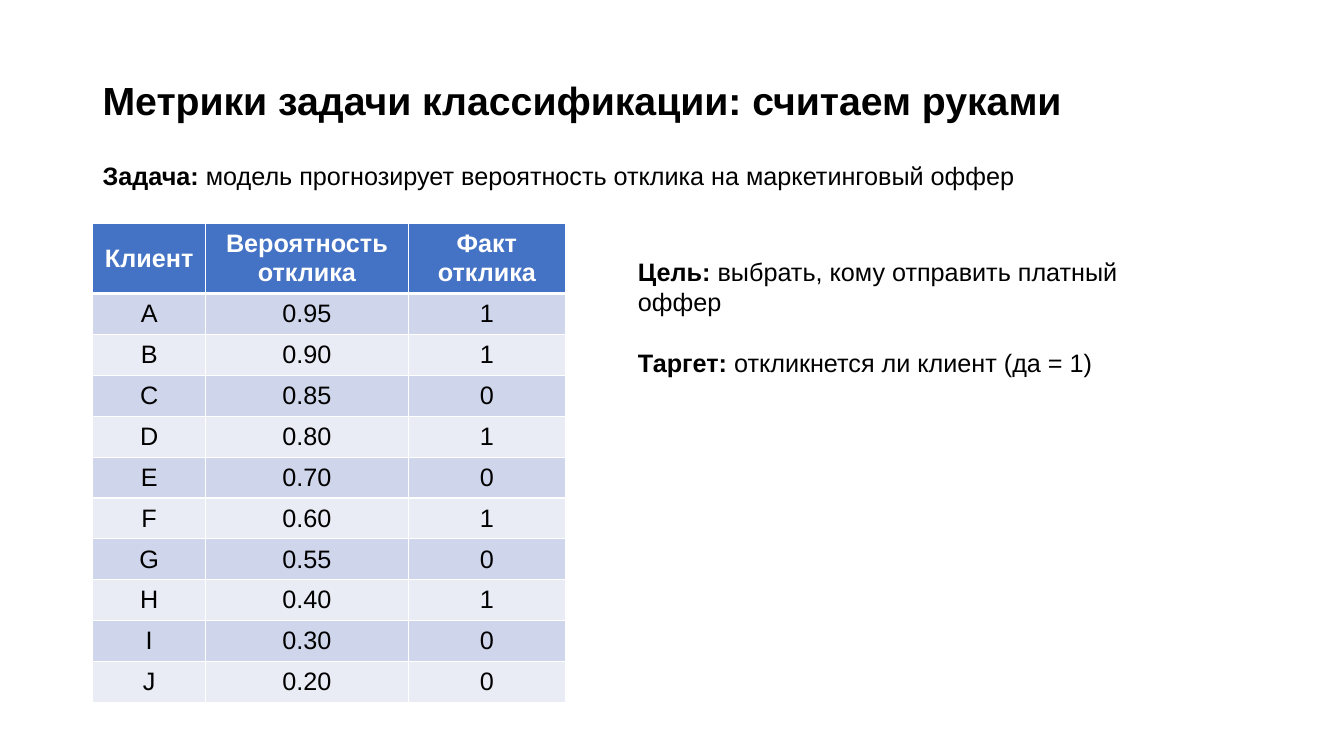
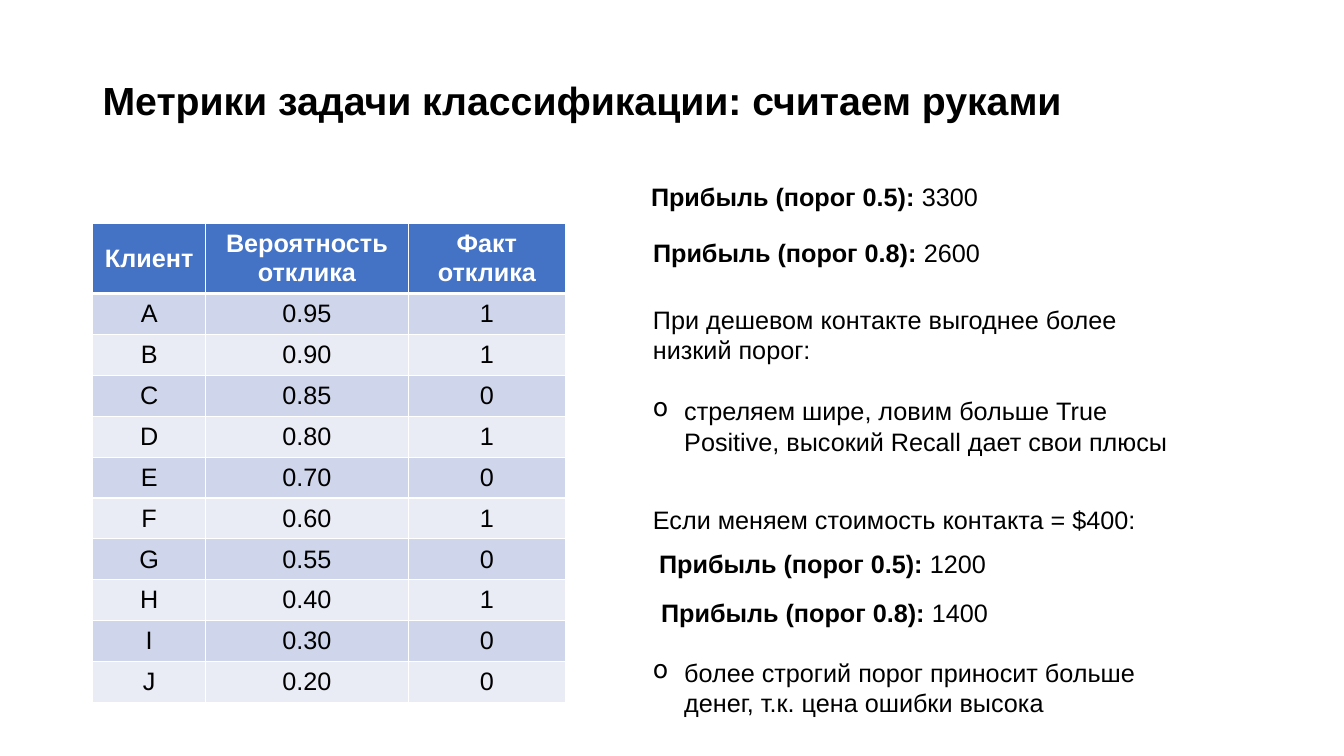
from dataclasses import dataclass

from lxml.etree import SubElement
from pptx import Presentation
from pptx.dml.color import RGBColor
from pptx.enum.text import MSO_ANCHOR as Anchor, PP_ALIGN as Align
from pptx.oxml import parse_xml
from pptx.oxml.ns import nsdecls, qn
from pptx.util import Emu, Inches, Pt

BLACK = RGBColor(0x00, 0x00, 0x00)
WHITE = RGBColor(0xFF, 0xFF, 0xFF)
HEADER_BLUE = RGBColor(0x44, 0x72, 0xC4)
BAND_DARK = RGBColor(0xCF, 0xD5, 0xEA)
BAND_LIGHT = RGBColor(0xE9, 0xEB, 0xF5)

FONT = "Arial"
TITLE_SIZE = 28
BODY_SIZE = 18
BLANK_LINE = 22
BULLET_INDENT = Inches(0.31)
WIDTH, HEIGHT = Inches(13.33), Inches(7.5)

TITLE = "Метрики задачи классификации: считаем руками"
HEADERS = ("Клиент", "Вероятность отклика", "Факт отклика")
CLIENTS = (
    ("A", "0.95", "1"),
    ("B", "0.90", "1"),
    ("C", "0.85", "0"),
    ("D", "0.80", "1"),
    ("E", "0.70", "0"),
    ("F", "0.60", "1"),
    ("G", "0.55", "0"),
    ("H", "0.40", "1"),
    ("I", "0.30", "0"),
    ("J", "0.20", "0"),
)

# Shares of the slide's width or height, in percent
LEFT_MARGIN = 6.9
TABLE_TOP = 29.5
COLUMN_SHARES = (8.4, 15.08, 11.7)
HEADER_SHARE = 8.67
ROW_SHARE = 5.41
LINE_SHARE = 5.33
PROFIT_SHARE = 27.3
NOTE_SHARE = 40.35


@dataclass(frozen=True)
class Area:
    """A rectangle in percent of the slide's width and height."""
    left: float
    top: float
    width: float
    height: float


@dataclass(frozen=True)
class Line:
    """A paragraph with an optional bold lead; gap counts the lines left free above."""
    text: str
    lead: str = ""
    gap: int = 0
    bullet: bool = False


@dataclass(frozen=True)
class Note:
    area: Area
    lines: tuple[Line, ...]


def across(share: float) -> Emu:
    return Emu(round(WIDTH * share / 100))


def down(share: float) -> Emu:
    return Emu(round(HEIGHT * share / 100))


def profit(left: float, top: float, threshold: str, amount: str) -> Note:
    line = Line(amount, lead=f"Прибыль (порог {threshold}): ")
    return Note(Area(left, top, PROFIT_SHARE, LINE_SHARE), (line,))


TASK_NOTES = (
    Note(Area(LEFT_MARGIN, 20.53, 70.13, LINE_SHARE), (
        Line("модель прогнозирует вероятность отклика на маркетинговый оффер",
             lead="Задача: "),
    )),
    Note(Area(46.73, 33.2, 41.4, 17.47), (
        Line("выбрать, кому отправить платный оффер", lead="Цель: "),
        Line("откликнется ли клиент (да = 1)", lead="Таргет: ", gap=1),
    )),
)

PROFIT_NOTES = (
    profit(47.7, 23.33, "0.5", "3300"),
    profit(47.85, 30.8, "0.8", "2600"),
    Note(Area(47.85, 39.6, NOTE_SHARE, 21.6), (
        Line("При дешевом контакте выгоднее более низкий порог:"),
        Line("стреляем шире, ловим больше True Positive, "
             "высокий Recall дает свои плюсы", gap=1, bullet=True),
    )),
    Note(Area(47.85, 66, NOTE_SHARE, 29.6), (
        Line("Если меняем стоимость контакта = $400:"),
        Line("более строгий порог приносит больше денег, "
             "т.к. цена ошибки высока", gap=4, bullet=True),
    )),
    profit(48.3, 71.87, "0.5", "1200"),
    profit(48.45, 78.4, "0.8", "1400"),
)


def add_span(para, text: str, *, size: float = BODY_SIZE, bold: bool = False,
             color: RGBColor = BLACK) -> None:
    span = para.add_run()
    span.text = text
    span.font.name = FONT
    span.font.size = Pt(size)
    span.font.bold = bold
    span.font.color.rgb = color


def add_box(page, area: Area, *, anchor: Anchor = Anchor.TOP):
    """Add a wrapping text box and return its text frame."""
    box = page.shapes.add_textbox(across(area.left), down(area.top),
                                  across(area.width), down(area.height))
    box.text_frame.word_wrap = True
    box.text_frame.vertical_anchor = anchor
    return box.text_frame


def set_bullet(para) -> None:
    properties = para._p.get_or_add_pPr()
    properties.set("marL", str(BULLET_INDENT))
    properties.set("indent", str(-BULLET_INDENT))
    SubElement(properties, qn("a:buChar")).set("char", "o")


def add_title(page) -> None:
    frame = add_box(page, Area(LEFT_MARGIN, 4, 86.25, 19.33), anchor=Anchor.MIDDLE)
    para = frame.paragraphs[0]
    para.line_spacing = 0.9
    add_span(para, TITLE, size=TITLE_SIZE, bold=True)


def add_note(page, note: Note) -> None:
    frame = add_box(page, note.area)
    for index, line in enumerate(note.lines):
        para = frame.add_paragraph() if index else frame.paragraphs[0]
        if line.gap:
            para.space_before = Pt(line.gap * BLANK_LINE)
        if line.bullet:
            set_bullet(para)
        if line.lead:
            add_span(para, line.lead, bold=True)
        add_span(para, line.text)


def set_borders(cell, *, top: float = 1, bottom: float = 1) -> None:
    """Draw white cell borders; widths are in points."""
    properties = cell._tc.get_or_add_tcPr()
    widths = {"lnL": 1, "lnR": 1, "lnT": top, "lnB": bottom}
    for position, (tag, width) in enumerate(widths.items()):
        properties.insert(position, parse_xml(
            f'<a:{tag} {nsdecls("a")} w="{Pt(width)}"><a:solidFill>'
            f'<a:srgbClr val="{WHITE}"/></a:solidFill></a:{tag}>'))


def fill_cell(cell, text: str, *, fill: RGBColor, color: RGBColor, bold: bool) -> None:
    cell.fill.solid()
    cell.fill.fore_color.rgb = fill
    cell.vertical_anchor = Anchor.MIDDLE
    para = cell.text_frame.paragraphs[0]
    para.alignment = Align.CENTER
    add_span(para, text, color=color, bold=bold)


def add_client_table(page) -> None:
    rows = (HEADERS, *CLIENTS)
    heights = (HEADER_SHARE, *[ROW_SHARE] * len(CLIENTS))
    table = page.shapes.add_table(
        len(rows), len(HEADERS), across(LEFT_MARGIN), down(TABLE_TOP),
        across(sum(COLUMN_SHARES)), down(sum(heights))).table
    for column, share in zip(table.columns, COLUMN_SHARES):
        column.width = across(share)
    for index, (values, share) in enumerate(zip(rows, heights)):
        table.rows[index].height = down(share)
        header = index == 0
        band = BAND_DARK if index % 2 else BAND_LIGHT
        for column, text in enumerate(values):
            cell = table.cell(index, column)
            fill_cell(cell, text, fill=HEADER_BLUE if header else band,
                      color=WHITE if header else BLACK, bold=header)
            set_borders(cell, top=3 if index == 1 else 1, bottom=3 if header else 1)


def add_page(deck, notes: tuple[Note, ...]) -> None:
    page = deck.slides.add_slide(deck.slide_layouts[6])
    add_title(page)
    add_client_table(page)
    for note in notes:
        add_note(page, note)


def main() -> None:
    deck = Presentation()
    deck.slide_width, deck.slide_height = WIDTH, HEIGHT
    for notes in (TASK_NOTES, PROFIT_NOTES):
        add_page(deck, notes)
    deck.save("out.pptx")


if __name__ == "__main__":
    main()
